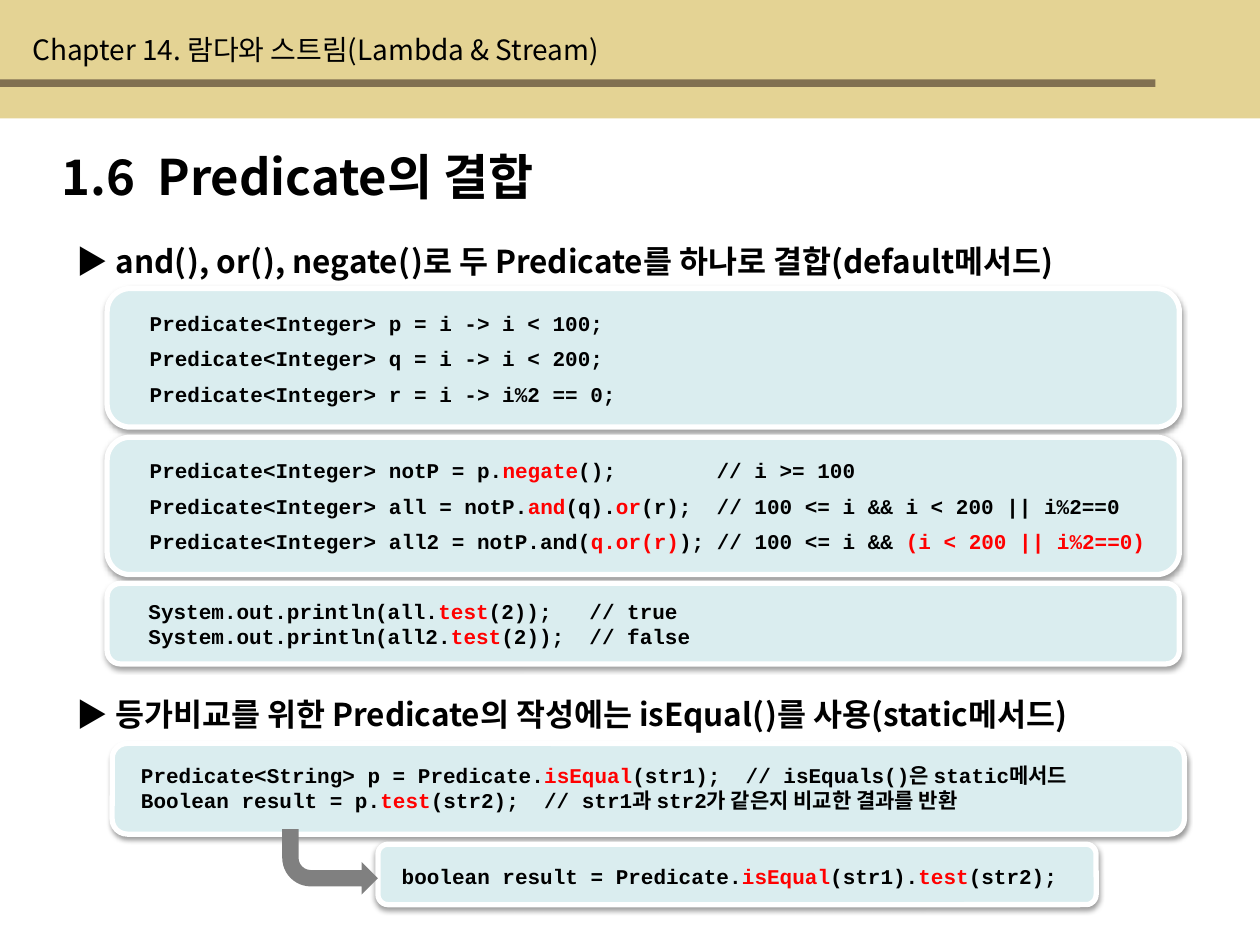
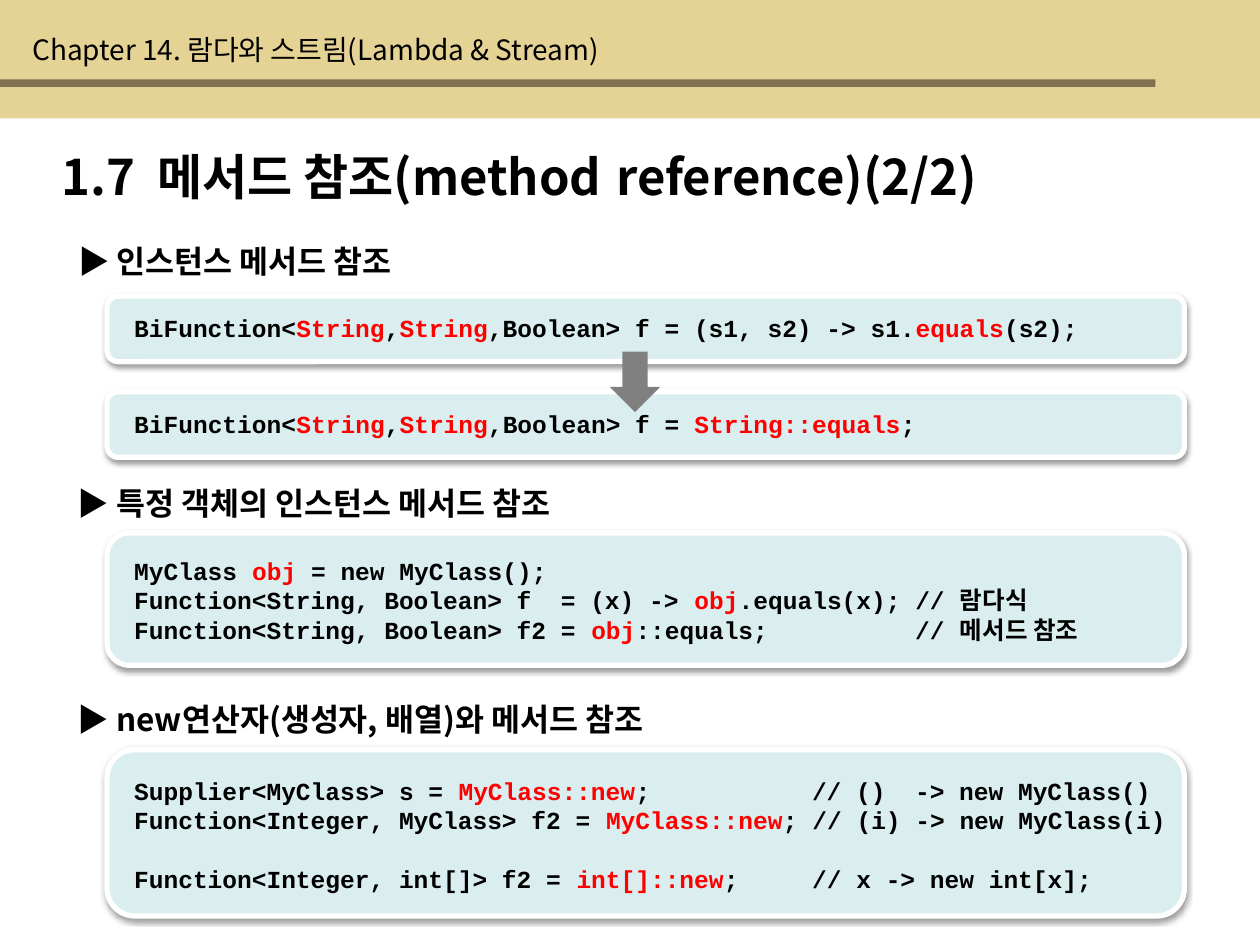
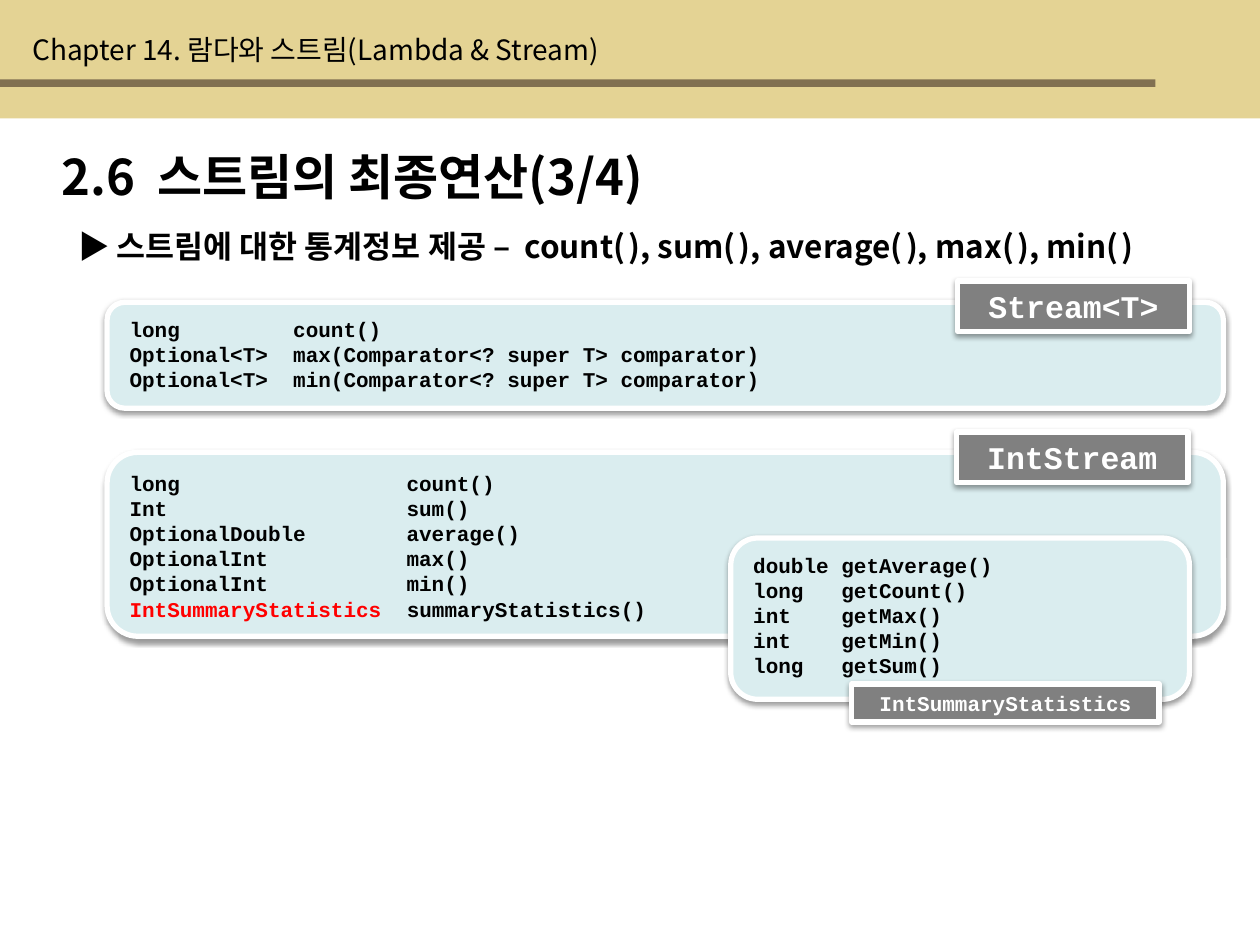
from lxml import etree
from pptx import Presentation
from pptx.dml.color import RGBColor
from pptx.enum.shapes import MSO_SHAPE
from pptx.enum.text import MSO_ANCHOR, MSO_AUTO_SIZE, PP_ALIGN
from pptx.oxml.ns import qn
from pptx.util import Inches, Pt

RECT, ROUND = MSO_SHAPE.RECTANGLE, MSO_SHAPE.ROUNDED_RECTANGLE
DOWN_ARROW, BENT_ARROW = MSO_SHAPE.DOWN_ARROW, MSO_SHAPE.BENT_ARROW
TOP, MIDDLE, BOTTOM = MSO_ANCHOR.TOP, MSO_ANCHOR.MIDDLE, MSO_ANCHOR.BOTTOM
LEFT, CENTER = PP_ALIGN.LEFT, PP_ALIGN.CENTER
GROW, FIXED = MSO_AUTO_SIZE.SHAPE_TO_FIT_TEXT, MSO_AUTO_SIZE.NONE

COLORS = {
    "band": "E4D394", "rule": "817051", "text": "000000", "key": "FF0000",
    "panel": "DAEDEF", "white": "FFFFFF", "gray": "808080",
}
SANS, MONO = "Noto Sans CJK KR", "Courier New"
CHAPTER = "Chapter 14. 람다와 스트림(Lambda & Stream)"


def rgb(name):
    return RGBColor.from_string(COLORS[name])


def box(*lengths):
    return [Inches(v) for v in lengths]


def columns(rows, width):
    """Align two columns of code; the first is padded to the given width."""
    return [first.ljust(width) + second for first, second in rows]


class Deck:
    def __init__(self):
        self.prs = Presentation()
        self.prs.slide_width, self.prs.slide_height = box(10, 7.5)
        self.slide = None

    def new_slide(self, title, mark_size=None):
        self.slide = self.prs.slides.add_slide(self.prs.slide_layouts[1])
        self.shape(RECT, (0, 0, 10, 0.94), "band")
        self.shape(RECT, (0, 0.63, 9.17, 0.06), "rule")
        self.place(self.slide.shapes.title, (0.39, 1.11, 9.37, 0.57))
        self.set_text(self.slide.shapes.title, [title], 28, mark_size=mark_size)
        sp = self.slide.shapes.add_textbox(*box(0.16, 0.21, 6.22, 0.37))
        self.set_text(sp, [CHAPTER], 16, bold=False, fit=GROW)

    def place(self, sp, at):
        sp.left, sp.top, sp.width, sp.height = box(*at)

    def shape(self, kind, at, fill, group=None):
        sp = (group or self.slide).shapes.add_shape(kind, *box(*at))
        sp.shadow.inherit = False
        sp.fill.solid()
        sp.fill.fore_color.rgb = rgb(fill)
        sp.line.fill.background()
        return sp

    def card(self, kind, at, fill, group):
        """A shape with a white frame and a soft shadow below."""
        sp = self.shape(kind, at, fill, group)
        sp.line.color.rgb = rgb("white")
        sp.line.width = Pt(3)
        effects = sp._element.spPr.find(qn("a:effectLst"))
        shadow = etree.SubElement(
            effects, qn("a:outerShdw"), blurRad=str(Pt(3.1)),
            dist=str(Pt(1.6)), dir="5400000", rotWithShape="0")
        color = etree.SubElement(shadow, qn("a:srgbClr"), val=COLORS["text"])
        etree.SubElement(color, qn("a:alpha"), val="38000")
        return sp

    def set_text(self, sp, lines, size, font=SANS, color="text", bold=True,
                 align=LEFT, anchor=TOP, gap=0, fit=FIXED, mark_size=None):
        """Parts between « and » turn red, or take mark_size if given."""
        tf = sp.text_frame
        tf.word_wrap, tf.auto_size, tf.vertical_anchor = True, fit, anchor
        for i, line in enumerate(lines):
            p = tf.add_paragraph() if i else tf.paragraphs[0]
            p.alignment = align
            p.space_before = Pt(gap if i else 0)
            p.font.name, p.font.size, p.font.bold = font, Pt(size), bold
            p.font.color.rgb = rgb(color)
            default = p._p.pPr.find(qn("a:defRPr"))
            etree.SubElement(default, qn("a:ea"), typeface=SANS)
            for j, part in enumerate(line.replace("»", "«").split("«")):
                if not part:
                    continue
                r = p.add_run()
                r.text = part
                if j % 2 and mark_size:
                    r.font.size = Pt(mark_size)
                elif j % 2:
                    r.font.color.rgb = rgb("key")
        return tf

    def heading(self, text, left, top, mark_size=None):
        at = (left, top, 9.41, 0.4)
        body = self.slide.placeholders[1]
        if body.text_frame.text:
            body = self.slide.shapes.add_textbox(*box(*at))
        else:
            self.place(body, at)
        tf = self.set_text(body, ["▶ " + text], 18, mark_size=mark_size)
        pPr = tf.paragraphs[0]._p.pPr
        pPr.set("marL", str(Inches(0.29)))
        pPr.set("indent", str(Inches(-0.29)))
        pPr.insert_element_before(
            etree.Element(qn("a:buNone")), "a:tabLst", "a:defRPr", "a:extLst")

    def code(self, panel, at, lines, size=12, anchor=MIDDLE, gap=0):
        group = self.slide.shapes.add_group_shape()
        self.card(ROUND, panel, "panel", group)
        sp = group.shapes.add_textbox(*box(*at))
        tf = self.set_text(sp, lines, size, MONO, anchor=anchor, gap=gap, fit=GROW)
        return group, tf

    def badge(self, group, at, text, size=18):
        sp = self.card(RECT, at, "gray", group)
        self.set_text(sp, [text], size, MONO, "white", align=CENTER, anchor=MIDDLE)


def predicate_slide(deck):
    deck.new_slide("1.6  Predicate의 결합")
    deck.heading("and(« »), or(« »), negate(« »)로 두 Predicate를 하나로 결합(default메서드)",
                 0.51, 1.87, mark_size=3)
    deck.code((0.85, 2.29, 8.51, 1.1), (0.89, 2.48, 8.54, 0.73), [
        "  Predicate<Integer> p = i -> i < 100;",
        "  Predicate<Integer> q = i -> i < 200;",
        "  Predicate<Integer> r = i -> i%2 == 0;",
    ], gap=6)
    deck.code((0.85, 3.47, 8.51, 1.09), (0.89, 3.56, 8.54, 0.91), [
        "  Predicate<Integer> notP = p.«negate»();        // i >= 100",
        "  Predicate<Integer> all = notP.«and»(q).«or»(r);  // 100 <= i && i < 200 || i%2==0",
        "  Predicate<Integer> all2 = notP.and(«q.or(r)»); // 100 <= i && «(i < 200 || i%2==0)»",
    ], gap=6)
    deck.code((0.85, 4.63, 8.51, 0.64), (0.98, 4.7, 8.31, 0.5), [
        " System.out.println(all.«test»(2));   // true",
        " System.out.println(all2.«test»(2));  // false",
    ])

    # Equality test
    deck.heading("등가비교를 위한 Predicate의 작성에는 isEqual(« »)를 사용(static메서드)",
                 0.51, 5.47, mark_size=3)
    deck.code((0.89, 5.9, 8.51, 0.72), (1.02, 6, 8.31, 0.5), [
        "Predicate<String> p = Predicate.«isEqual»(str1);  // isEquals()은 static메서드",
        "Boolean result = p.«test»(str2);  // str1과 str2가 같은지 비교한 결과를 반환",
    ])
    group, _ = deck.code((3, 6.7, 5.7, 0.48), (3.09, 6.8, 5.57, 0.3), [
        "boolean result = Predicate.«isEqual»(str1).«test»(str2);",
    ])
    arrow = deck.shape(BENT_ARROW, (2.24, 6.58, 0.76, 0.52), "gray", group)
    arrow.rotation = 180
    arrow._element.spPr.xfrm.set("flipH", "1")


def method_reference_slide(deck):
    deck.new_slide("1.7  메서드 참조(method « »reference)(2/2)", mark_size=10)

    # Instance method
    deck.heading("인스턴스 메서드 참조", 0.52, 1.87)
    deck.code((0.85, 2.35, 8.55, 0.52), (0.85, 2.43, 8.63, 0.34), [
        " BiFunction<«String»,«String»,Boolean> f = (s1, s2) -> s1.«equals»(s2);",
    ], 14, BOTTOM)
    group, _ = deck.code((0.85, 3.11, 8.55, 0.52), (0.85, 3.19, 8.38, 0.34), [
        " BiFunction<«String»,«String»,Boolean> f = «String::equals»;",
    ], 14, BOTTOM)
    deck.shape(DOWN_ARROW, (4.84, 2.79, 0.4, 0.48), "gray", group)

    # Instance method of one object
    deck.heading("특정 객체의 인스턴스 메서드 참조", 0.52, 3.79)
    deck.code((0.85, 4.23, 8.55, 1.05), (0.85, 4.35, 8.63, 0.81), [
        " MyClass «obj» = new MyClass();",
        " Function<String, Boolean> f  = (x) -> «obj».equals(x); // 람다식",
        " Function<String, Boolean> f2 = «obj»::equals;          // 메서드 참조",
    ], 14, BOTTOM)

    # Constructors and arrays
    deck.heading("new연산자(생성자, 배열)와 메서드 참조", 0.52, 5.51)
    _, tf = deck.code((0.85, 5.95, 8.55, 1.32), (0.85, 6.09, 8.63, 1.05), [
        " Supplier<MyClass> s = «MyClass::new»;           // ()  -> new MyClass()",
        " Function<Integer, MyClass> f2 = «MyClass::new»; // (i) -> new MyClass(i)",
        " Function<Integer, int[]> f2 = «int[]::new»;     // x -> new int[x];",
    ], 14, BOTTOM)
    tf.paragraphs[-1].space_before = Pt(16.8)


def stream_slide(deck):
    deck.new_slide("2.6  스트림의 최종연산(3/4)")
    deck.heading("스트림에 대한 통계정보 제공 –  count(« »), sum(« »), average(« »), "
                 "max(« »), min(« »)", 0.52, 1.75, mark_size=8)

    group, _ = deck.code((0.85, 2.4, 8.86, 0.84), (0.93, 2.45, 8.94, 0.71), columns([
        ("long", "count()"),
        ("Optional<T>", "max(Comparator<? super T> comparator)"),
        ("Optional<T>", "min(Comparator<? super T> comparator)"),
    ], 13), anchor=BOTTOM)
    deck.badge(group, (7.6, 2.23, 1.84, 0.4), "Stream<T>")

    group, _ = deck.code((0.85, 3.59, 8.86, 1.46), (0.93, 3.67, 8.94, 1.31), columns([
        ("long", "count()"),
        ("Int", "sum()"),
        ("OptionalDouble", "average()"),
        ("OptionalInt", "max()"),
        ("OptionalInt", "min()"),
        ("«IntSummaryStatistics»  ", "summaryStatistics()"),
    ], 22), anchor=BOTTOM)
    deck.badge(group, (7.59, 3.43, 1.84, 0.4), "IntStream")

    group, _ = deck.code((5.8, 4.27, 3.64, 1.28), (5.88, 4.34, 3.67, 1.09), columns([
        ("double", "getAverage()"),
        ("long", "getCount()"),
        ("int", "getMax()"),
        ("int", "getMin()"),
        ("long", "getSum()"),
    ], 7), anchor=BOTTOM)
    deck.badge(group, (6.76, 5.43, 2.44, 0.3), "IntSummaryStatistics", 12)


def main():
    deck = Deck()
    predicate_slide(deck)
    method_reference_slide(deck)
    stream_slide(deck)
    deck.prs.save("out.pptx")


if __name__ == "__main__":
    main()
